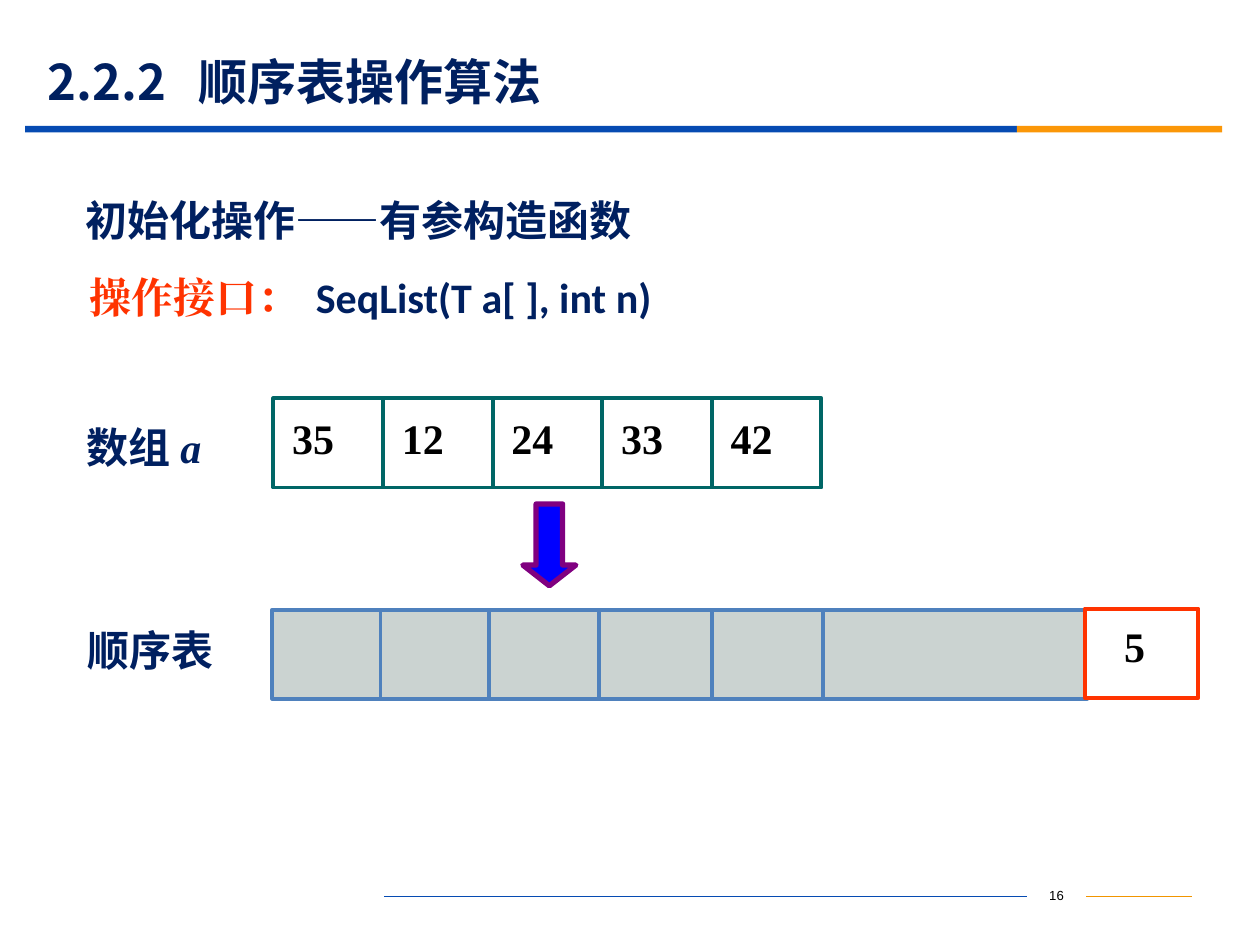
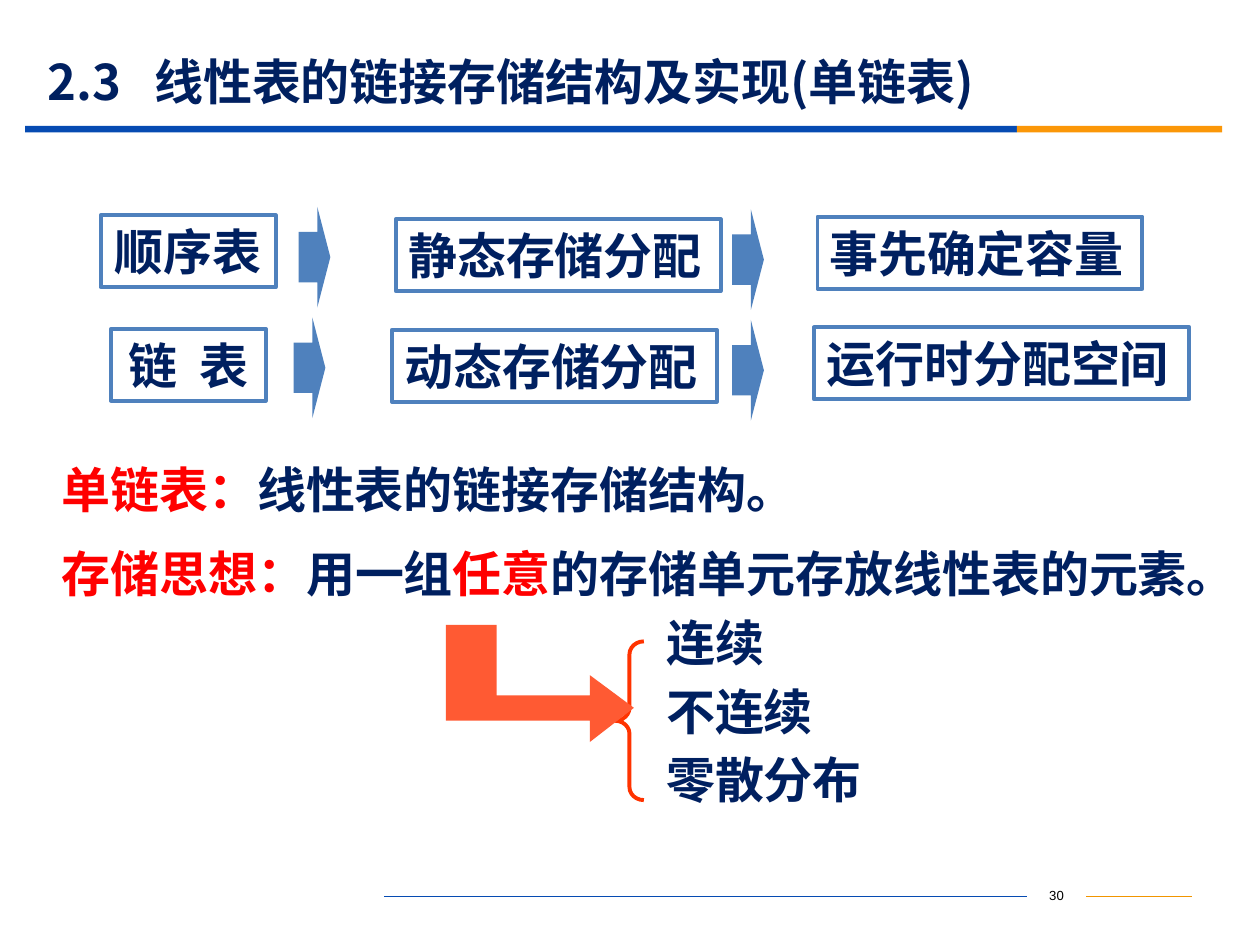
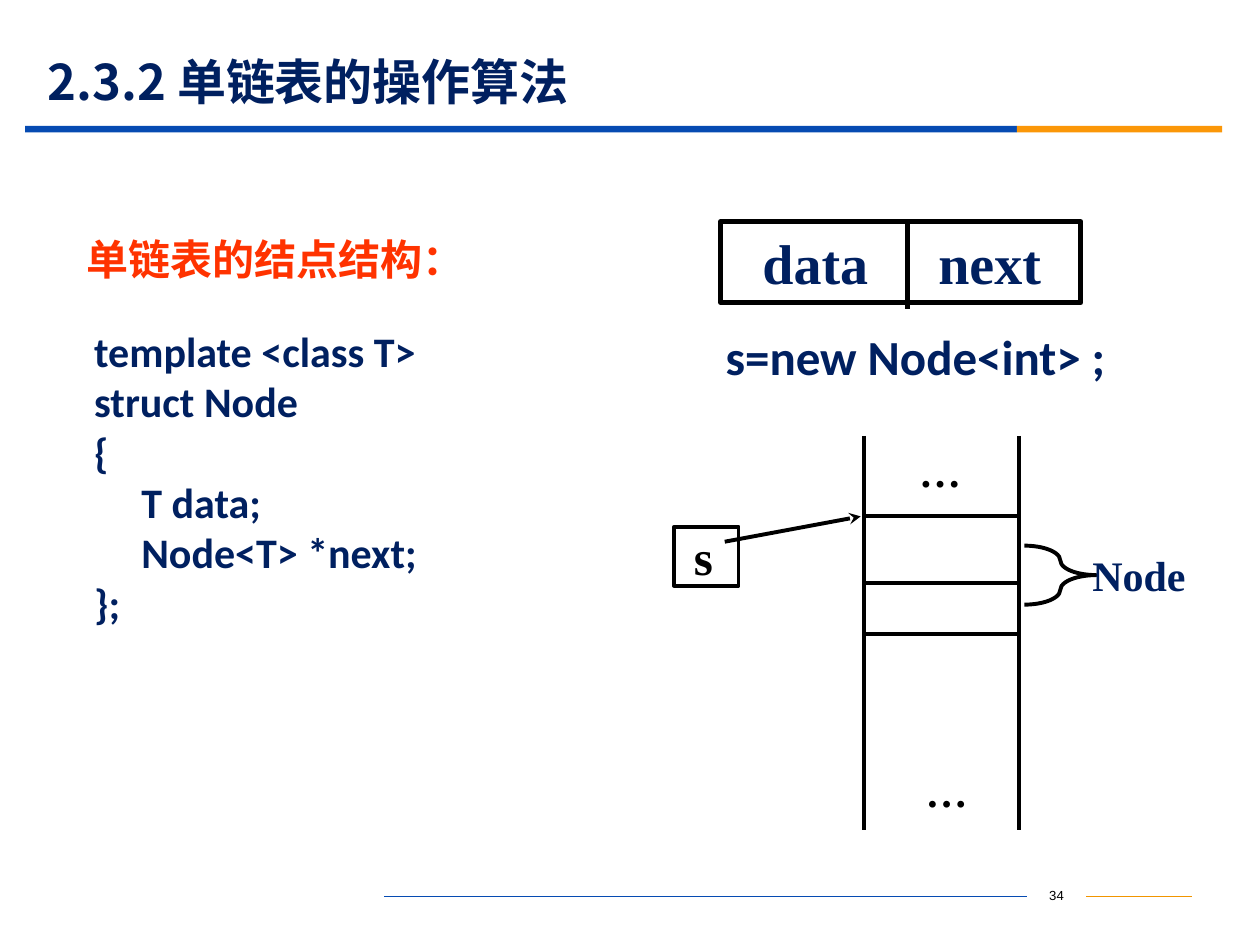
from dataclasses import dataclass
from typing import Optional

from lxml.etree import SubElement
from pptx import Presentation
from pptx.dml.color import RGBColor
from pptx.enum.shapes import MSO_CONNECTOR as Link, MSO_SHAPE as Kind
from pptx.enum.text import MSO_ANCHOR as Anchor, PP_ALIGN as Align
from pptx.oxml.ns import qn
from pptx.util import Cm, Pt

NAVY, BLACK, WHITE = "002060", "000000", "FFFFFF"
ORANGE_RED, RED, STEEL, TEAL = "FF3300", "FF0000", "4F81BD", "006666"
BAND_BLUE, BAND_ORANGE, FOOTER_ORANGE = "064BB2", "FB9708", "F19500"
SANS, SERIF, CODE, PLAIN = "Noto Sans CJK SC", "Times New Roman", "Calibri", "Arial"


@dataclass(frozen=True)
class Frame:
    """Position and size in centimetres."""
    left: float
    top: float
    width: float
    height: float

    def lengths(self) -> list:
        """Return the four values as lengths."""
        return [Cm(value) for value in (self.left, self.top, self.width, self.height)]


@dataclass(frozen=True)
class Span:
    """A run of text with one look; tracking is extra spacing in points."""
    text: str
    size: float = 28
    font: str = SANS
    ink: str = NAVY
    bold: bool = True
    italic: bool = False
    tracking: float = 0


@dataclass(frozen=True)
class Para:
    """A paragraph; before is in points and indent in centimetres."""
    spans: tuple
    align: Align = Align.LEFT
    before: float = 0
    leading: Optional[float] = None
    indent: float = 0


@dataclass(frozen=True)
class Style:
    """Fill, outline and adjustments of a preset shape."""
    fill: Optional[str] = None
    line: Optional[str] = None
    weight: float = 2.25
    adjust: tuple = ()


@dataclass(frozen=True)
class Layout:
    """How text sits in its box; insets are left and top in centimetres."""
    anchor: Anchor = Anchor.TOP
    wrap: bool = True
    inset: tuple = (0.25, 0.13)


TOP = Layout()
MIDDLE = Layout(Anchor.MIDDLE)
UNWRAPPED = Layout(wrap=False)
TIGHT = Layout(inset=(0, 0))
OUTLINE = Style(line=STEEL)
SOLID_ARROW = Style(fill=STEEL, adjust=(0.5, 0.41))


def colour(code: str) -> RGBColor:
    """Turn a hex string into a colour."""
    return RGBColor.from_string(code)


def one(text: str, size: float = 28, font: str = SANS, ink: str = NAVY, **look) -> list:
    """Return a single paragraph holding one span."""
    return [Para((Span(text, size, font, ink, **look),))]


def write(shape, paras: list, layout: Layout) -> None:
    """Fill a shape with paragraphs, run by run."""
    body = shape.text_frame
    body.word_wrap = layout.wrap
    body.vertical_anchor = layout.anchor
    across, down = layout.inset
    body.margin_left, body.margin_top = Cm(across), Cm(down)
    body.margin_right, body.margin_bottom = Cm(min(across, 0.25)), Cm(down)
    for index, item in enumerate(paras):
        para = body.paragraphs[0] if index == 0 else body.add_paragraph()
        para.alignment = item.align
        para.space_before = Pt(item.before)
        if item.leading:
            para.line_spacing = item.leading
        if item.indent:
            para._p.get_or_add_pPr().set("marL", str(Cm(item.indent)))
        for span in item.spans:
            run = para.add_run()
            run.text = span.text
            font = run.font
            font.size, font.name = Pt(span.size), span.font
            font.bold, font.italic = span.bold, span.italic
            font.color.rgb = colour(span.ink)
            properties = run._r.get_or_add_rPr()
            SubElement(properties, qn("a:ea")).set("typeface", span.font)
            if span.tracking:
                properties.set("spc", str(int(span.tracking * 100)))


def add_text(page, frame: Frame, paras: list, layout: Layout = TOP):
    """Add a text box."""
    box = page.shapes.add_textbox(*frame.lengths())
    write(box, paras, layout)
    return box


def paint(shape, style: Style) -> None:
    """Apply fill, outline and adjustments."""
    shape.shadow.inherit = False
    if style.fill:
        shape.fill.solid()
        shape.fill.fore_color.rgb = colour(style.fill)
    else:
        shape.fill.background()
    if style.line:
        shape.line.color.rgb = colour(style.line)
        shape.line.width = Pt(style.weight)
    else:
        shape.line.fill.background()
    for index, value in enumerate(style.adjust):
        shape.adjustments[index] = value


def add_preset(page, kind: Kind, frame: Frame, style: Style,
               paras: Optional[list] = None, layout: Layout = TOP) -> None:
    """Add a preset shape, with text if given."""
    shape = page.shapes.add_shape(kind, *frame.lengths())
    paint(shape, style)
    if paras:
        write(shape, paras, layout)


def add_outline(page, points: list, style: Style) -> None:
    """Add a closed polygon through points in centimetres."""
    corners = [(Cm(x), Cm(y)) for x, y in points]
    builder = page.shapes.build_freeform(*corners[0])
    builder.add_line_segments(corners[1:], close=True)
    paint(builder.convert_to_shape(), style)


def add_line(page, start: tuple, end: tuple, ink: str,
             weight: float = 2.25, head: Optional[str] = None):
    """Add a straight line, with an arrowhead at its end if named."""
    ends = [Cm(value) for value in start + end]
    line = page.shapes.add_connector(Link.STRAIGHT, *ends)
    line.line.color.rgb = colour(ink)
    line.line.width = Pt(weight)
    if head:
        SubElement(line.line._get_or_add_ln(), qn("a:tailEnd")).set("type", head)
    SubElement(line._element.spPr, qn("a:effectLst"))
    return line


def start_page(deck, number: int, title: tuple, gap: float = 0):
    """Add a page with its title, bands and footer."""
    page = deck.slides.add_slide(deck.slide_layouts[6])
    folio = add_text(page, Frame(20.7, 17.75, 1.2, 0.64), [
        Para((Span(str(number), 7.5, PLAIN, BLACK, bold=False),), Align.CENTER)])
    add_line(page, (21.9, 18.07), (24.03, 18.07), FOOTER_ORANGE, 0.75).begin_connect(folio, 3)
    add_line(page, (7.75, 18.07), (20.7, 18.07), BAND_BLUE, 0.75).end_connect(folio, 1)
    add_preset(page, Kind.RECTANGLE, Frame(0.51, 2.54, 19.99, 0.13), Style(BAND_BLUE))
    add_preset(page, Kind.RECTANGLE, Frame(20.5, 2.54, 4.14, 0.13), Style(BAND_ORANGE))
    section, name = title
    add_text(page, Frame(0.71, 1.09, 22.86, 1.09), [
        Para((Span(section), Span(" ", tracking=gap), Span(name)))], MIDDLE)
    return page


def build_sequence_page(deck) -> None:
    """Show how an array initialises a sequential list."""
    page = start_page(deck, 16, ("2.2.2", "顺序表操作算法"), 12.5)
    add_text(page, Frame(1.8, 5.46, 17.53, 1.32), [Para((
        Span("操作接口：", 24, SERIF, ORANGE_RED),
        Span(" ", 24, SERIF, ORANGE_RED, tracking=3.5),
        Span("SeqList(T a[ ], int n)", 24, CODE)), leading=0.9)], Layout(inset=(0, 0.13)))
    add_text(page, Frame(1.47, 3.61, 16.46, 1.63), one("初始化操作——有参构造函数", 24), MIDDLE)
    add_preset(page, Kind.DOWN_ARROW, Frame(10.54, 10.16, 1.07, 1.65),
               Style("0000FF", "800080", 3, (0.5, 0.39)))

    add_text(page, Frame(1.52, 12.45, 4.24, 1.3), one("顺序表", 24))
    add_preset(page, Kind.RECTANGLE, Frame(5.49, 12.29, 16.43, 1.8), Style("CBD3D1", STEEL))
    for x in (7.67, 9.86, 12.07, 14.35, 16.59):
        add_line(page, (x, 12.3), (x, 14.09), STEEL)
    add_preset(page, Kind.RECTANGLE, Frame(21.87, 12.27, 2.29, 1.8), Style(WHITE, ORANGE_RED))
    add_text(page, Frame(22.66, 12.5, 0.94, 1.02), one("5", 24, SERIF, BLACK), TIGHT)

    add_text(page, Frame(1.5, 8.36, 4.01, 1.3), [
        Para((Span("数组 ", 24), Span("a", 24, SERIF, italic=True)))])
    cell_width = 2.21
    for index, value in enumerate((35, 12, 24, 33, 42)):
        left = 5.51 + index * cell_width
        add_preset(page, Kind.RECTANGLE, Frame(left, 8.03, cell_width, 1.8), Style(line=TEAL))
        add_text(page, Frame(left + 0.38, 8.31, 1.32, 1.02),
                 one(str(value), 24, SERIF, BLACK), TIGHT)


def build_linked_page(deck) -> None:
    """Compare sequential and linked storage."""
    page = start_page(deck, 30, ("2.3", "线性表的链接存储结构及实现(单链表)"), 12.5)
    add_text(page, Frame(0.99, 9.14, 24.41, 3.23), [
        Para((Span("单链表：", ink=RED), Span("线性表的链接存储结构。"))),
        Para((Span("存储思想：", ink=RED), Span("用一组"), Span("任意", ink=RED),
              Span("的存储单元存放线性表的元素。")), before=14)])

    names = (
        (Frame(2.03, 4.34, 3.53, 1.45), (Span("顺序表"),)),
        (Frame(2.24, 6.63, 3.12, 1.45), (Span("链"), Span(" ", tracking=6), Span("表"))),
    )
    for frame, spans in names:
        add_preset(page, Kind.RECTANGLE, frame, OUTLINE, [Para(spans, Align.CENTER)], UNWRAPPED)
    traits = (
        (Frame(7.98, 4.42, 6.55, 1.45), "静态存储分配"),
        (Frame(16.48, 4.37, 6.55, 1.45), "事先确定容量"),
        (Frame(7.9, 6.65, 6.55, 1.45), "动态存储分配"),
        (Frame(16.41, 6.6, 7.57, 1.45), "运行时分配空间"),
    )
    for frame, text in traits:
        add_preset(page, Kind.RECTANGLE, frame, OUTLINE, one(text), MIDDLE)
    for left, top in ((6.02, 4.17), (14.76, 4.22), (5.92, 6.4), (14.76, 6.45)):
        add_preset(page, Kind.RIGHT_ARROW, Frame(left, top, 0.64, 2.03), SOLID_ARROW)

    add_text(page, Frame(13.18, 12.22, 5.79, 4.29), [
        Para((Span(text),), before=5.6) for text in ("连续", "不连续", "零散分布")])
    add_preset(page, Kind.LEFT_BRACE, Frame(12.4, 12.93, 0.58, 3.2),
               Style(line=ORANGE_RED, adjust=(0.45, 0.5)))
    add_outline(page, [
        (12.78, 14.27), (11.89, 13.61), (11.89, 14.02), (10.01, 14.02), (10.01, 12.6),
        (8.99, 12.6), (8.99, 14.53), (11.89, 14.53), (11.89, 14.96)], Style("FF5A33"))


def build_node_page(deck) -> None:
    """Show the node structure and its place in memory."""
    page = start_page(deck, 34, ("2.3.2", "单链表的操作算法"))
    add_text(page, Frame(14.38, 6.45, 9.5, 1.45), one("s=new Node<int> ;", font=CODE))
    code = (("template <class T>", 0), ("struct Node", 0), ("{", 0),
            ("T data;", 0.95), ("Node<T> *next;", 0.95), ("};", 0))
    add_text(page, Frame(1.65, 6.43, 10.49, 6.4), [
        Para((Span(text, 24, CODE),), Align.JUSTIFY, indent=indent) for text, indent in code])
    add_preset(page, Kind.RECTANGLE, Frame(14.53, 4.47, 7.26, 1.63), Style(line=BLACK, weight=3), [
        Para((Span("data", 32, SERIF), Span(" ", 32, SERIF, tracking=32),
              Span("next", 32, SERIF)))], Layout(inset=(0.84, 0.13)))
    add_line(page, (18.29, 4.47), (18.29, 6.22), BLACK, 3)
    add_text(page, Frame(1.5, 4.37, 10.36, 1.83), [
        Para((Span("单链表的结点结构：", 24, ink=ORANGE_RED),), leading=0.9)], MIDDLE)

    for x in (17.42, 20.55):
        add_line(page, (x, 8.79), (x, 16.74), BLACK)
    for left, top in ((18.31, 8.76), (18.44, 15.21)):
        add_text(page, Frame(left, top, 1.42, 1.37), [
            Para((Span("…", 24, SERIF, BLACK, italic=True),), leading=1.1)])
    add_preset(page, Kind.RECTANGLE, Frame(13.59, 10.62, 1.3, 1.19), Style(line=BLACK),
               one("s", 28, SERIF, BLACK), Layout(inset=(0.4, 0)))
    add_line(page, (14.61, 10.92), (17.35, 10.41), BLACK, head="stealth")
    for y in (10.41, 11.76, 12.78):
        add_line(page, (17.46, y), (20.52, y), BLACK)
    add_preset(page, Kind.RIGHT_BRACE, Frame(20.65, 11, 1.45, 1.19),
               Style(line=BLACK, adjust=(0.41, 0.5)))
    add_text(page, Frame(21.77, 10.95, 3, 1.3), one("Node", 24, SERIF))


def main() -> None:
    """Build and save the deck."""
    deck = Presentation()
    deck.slide_width, deck.slide_height = Cm(25.4), Cm(19.05)
    build_sequence_page(deck)
    build_linked_page(deck)
    build_node_page(deck)
    deck.save("out.pptx")


if __name__ == "__main__":
    main()
